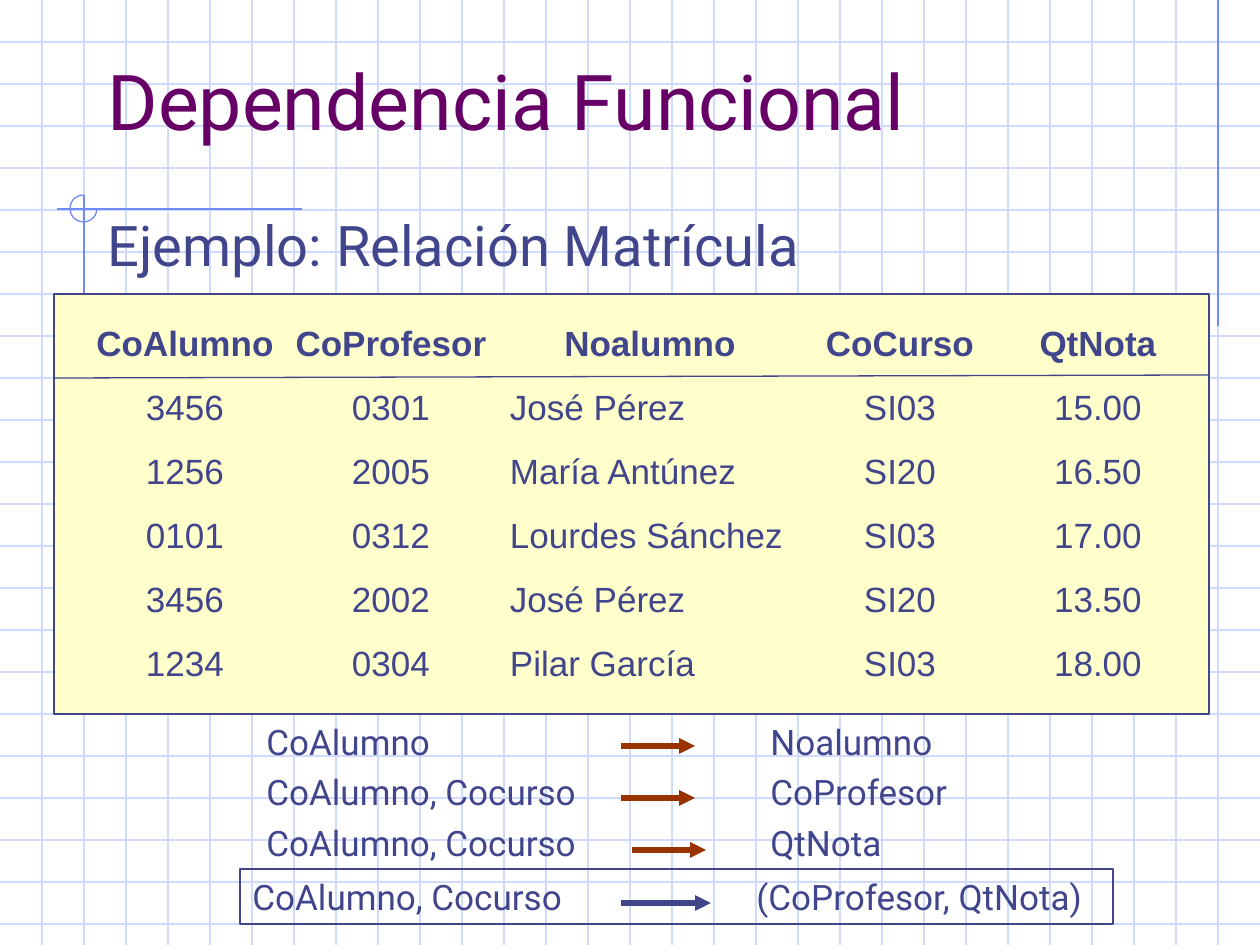
from lxml import etree
from pptx import Presentation
from pptx.dml.color import RGBColor
from pptx.enum.shapes import MSO_CONNECTOR, MSO_SHAPE
from pptx.enum.text import MSO_ANCHOR, MSO_AUTO_SIZE, PP_ALIGN
from pptx.oxml.ns import qn
from pptx.util import Emu, Pt

STRAIGHT = MSO_CONNECTOR.STRAIGHT
RECTANGLE, ARC = MSO_SHAPE.RECTANGLE, MSO_SHAPE.ARC
TOP, MIDDLE = MSO_ANCHOR.TOP, MSO_ANCHOR.MIDDLE
LEFT, CENTER = PP_ALIGN.LEFT, PP_ALIGN.CENTER

GRID = RGBColor(0xCF, 0xDB, 0xFD)
ORNAMENT = RGBColor(0x6F, 0x89, 0xF7)
INK = RGBColor(0x40, 0x45, 0x8C)
PURPLE = RGBColor(0x66, 0x00, 0x66)
CREAM = RGBColor(0xFF, 0xFF, 0xCC)
RUST = RGBColor(0x99, 0x33, 0x00)
NO_GRID_STYLE = "{2D5ABB26-0587-4C30-8999-92F81FD0307C}"

# Content
TITLE = "Dependencia Funcional"
SUBTITLE = "Ejemplo: Relación Matrícula"
ENROLMENT = [
    ("CoAlumno", "CoProfesor", "Noalumno", "CoCurso", "QtNota"),
    ("3456", "0301", "José Pérez", "SI03", "15.00"),
    ("1256", "2005", "María Antúnez", "SI20", "16.50"),
    ("0101", "0312", "Lourdes Sánchez", "SI03", "17.00"),
    ("3456", "2002", "José Pérez", "SI20", "13.50"),
    ("1234", "0304", "Pilar García", "SI03", "18.00"),
]
DEPENDENCIES = [
    ("CoAlumno", "Noalumno"),
    ("CoAlumno, Cocurso", "CoProfesor"),
    ("CoAlumno, Cocurso", "QtNota"),
]
COMBINED = [("CoAlumno, Cocurso", "(CoProfesor, QtNota)")]

# Layout, in px
WIDTH, HEIGHT = 1260, 945
GRID_STEP = 42
COLUMN_EDGES = [77, 293, 489, 811, 989, 1207]
TABLE_TOP, ROW_HEIGHT = 312, 64
NAME_COLUMN, NAME_INDENT = 2, 21
RESULT_TAB = 504
ARROW_TOP, ARROW_STEP, ARROW_LENGTH = 746, 52, 74
ARROW_LEFTS = [621, 621, 632]


def px(n):
    return Emu(round(n * 914400 / 126))


def box(*lengths):
    return [px(n) for n in lengths]


def style_font(paragraph, name, size, color, bold=False):
    font = paragraph.font
    font.name, font.size, font.bold = name, Pt(size), bold
    font.color.rgb = color


def add_line(slide, ends, color, weight=0.75, arrow=False):
    line = slide.shapes.add_connector(STRAIGHT, *box(*ends))
    line.line.color.rgb = color
    line.line.width = Pt(weight)
    properties = line._element.spPr
    if arrow:
        etree.SubElement(properties.find(qn("a:ln")), qn("a:tailEnd"), type="triangle")
    etree.SubElement(properties, qn("a:effectLst"))


def add_shape(slide, kind, place, color, fill=None):
    shape = slide.shapes.add_shape(kind, *box(*place))
    shape.shadow.inherit = False
    if fill is None:
        shape.fill.background()
    else:
        shape.fill.solid()
        shape.fill.fore_color.rgb = fill
    shape.line.color.rgb = color
    shape.line.width = Pt(0.75)
    return shape


def fill_placeholder(slide, holder, place, text, size, color, anchor):
    holder.left, holder.top, holder.width, holder.height = box(*place)
    frame = holder.text_frame
    frame.text = text
    frame.vertical_anchor = anchor
    frame.auto_size = MSO_AUTO_SIZE.NONE
    paragraph = frame.paragraphs[0]
    paragraph.alignment = LEFT
    properties = paragraph._p.get_or_add_pPr()
    properties.set("marL", "0")
    properties.set("indent", "0")
    etree.SubElement(properties, qn("a:buNone"))
    style_font(paragraph, "Roboto", size, color)
    slide.shapes._spTree.append(holder._element)  # in front of the grid


def write_dependencies(frame, pairs):
    frame.vertical_anchor = TOP
    for i, (source, result) in enumerate(pairs):
        paragraph = frame.add_paragraph() if i else frame.paragraphs[0]
        paragraph.text = f"{source}\t{result}"
        paragraph.alignment = LEFT
        paragraph.space_before = Pt(5)
        tabs = etree.SubElement(paragraph._p.get_or_add_pPr(), qn("a:tabLst"))
        etree.SubElement(tabs, qn("a:tab"), pos=str(px(RESULT_TAB)), algn="l")
        style_font(paragraph, "Roboto", 20, INK)


def add_enrolment_table(slide):
    left, right = COLUMN_EDGES[0], COLUMN_EDGES[-1]
    rows = len(ENROLMENT)
    table = slide.shapes.add_table(
        rows, len(ENROLMENT[0]),
        *box(left, TABLE_TOP, right - left, rows * ROW_HEIGHT)).table
    table._tbl.tblPr.find(qn("a:tableStyleId")).text = NO_GRID_STYLE
    table.horz_banding = False
    for column, start, end in zip(table.columns, COLUMN_EDGES, COLUMN_EDGES[1:]):
        column.width = px(end - start)
    for r, record in enumerate(ENROLMENT):
        table.rows[r].height = px(ROW_HEIGHT)
        for c, value in enumerate(record):
            is_name = c == NAME_COLUMN and r > 0
            cell = table.cell(r, c)
            cell.text = value
            cell.fill.background()
            cell.vertical_anchor = MIDDLE
            cell.margin_left = px(NAME_INDENT if is_name else 0)
            cell.margin_right = cell.margin_top = cell.margin_bottom = 0
            paragraph = cell.text_frame.paragraphs[0]
            paragraph.alignment = LEFT if is_name else CENTER
            style_font(paragraph, "Arial", 20, INK, bold=r == 0)


def main():
    prs = Presentation()
    prs.slide_width, prs.slide_height = box(WIDTH, HEIGHT)
    slide = prs.slides.add_slide(prs.slide_layouts[1])
    title, subtitle = slide.placeholders

    # Squared paper
    for y in range(GRID_STEP, HEIGHT, GRID_STEP):
        add_line(slide, (0, y, WIDTH, y), GRID)
    for x in range(GRID_STEP, WIDTH, GRID_STEP):
        add_line(slide, (x, 0, x, HEIGHT), GRID)

    # Corner ornament: three lines and three quarters of a circle
    for ends in [(1218, 0, 1218, 326), (302, 209, 57, 209), (84, 195, 84, 515)]:
        add_line(slide, ends, ORNAMENT)
    circle = add_shape(slide, ARC, (70, 195, 27, 27), ORNAMENT)
    circle.adjustments[0] = 0
    circle.adjustments[1] = 162  # 270 degrees

    # Headings
    fill_placeholder(slide, subtitle, (95, 204, 1165, 105), SUBTITLE, 32, INK, TOP)
    fill_placeholder(slide, title, (95, 42, 1071, 116), TITLE, 44, PURPLE, MIDDLE)

    # Enrolment relation
    add_shape(slide, RECTANGLE, (54, 294, 1155, 420), INK, CREAM)
    add_enrolment_table(slide)
    add_line(slide, (54, 378, 1210, 375), INK)

    # Combined dependency
    combined = add_shape(slide, RECTANGLE, (240, 869, 873, 55), INK)
    combined.text_frame.word_wrap = False
    write_dependencies(combined.text_frame, COMBINED)
    add_line(slide, (621, 903, 711, 903), INK, 3, arrow=True)

    # Single dependencies
    listing = slide.shapes.add_textbox(*box(254, 714, 712, 199))
    listing.text_frame.word_wrap = True
    write_dependencies(listing.text_frame, DEPENDENCIES)
    for i, x in enumerate(ARROW_LEFTS):
        y = ARROW_TOP + i * ARROW_STEP
        add_line(slide, (x, y, x + ARROW_LENGTH, y), RUST, 3, arrow=True)

    prs.save("out.pptx")


if __name__ == "__main__":
    main()
